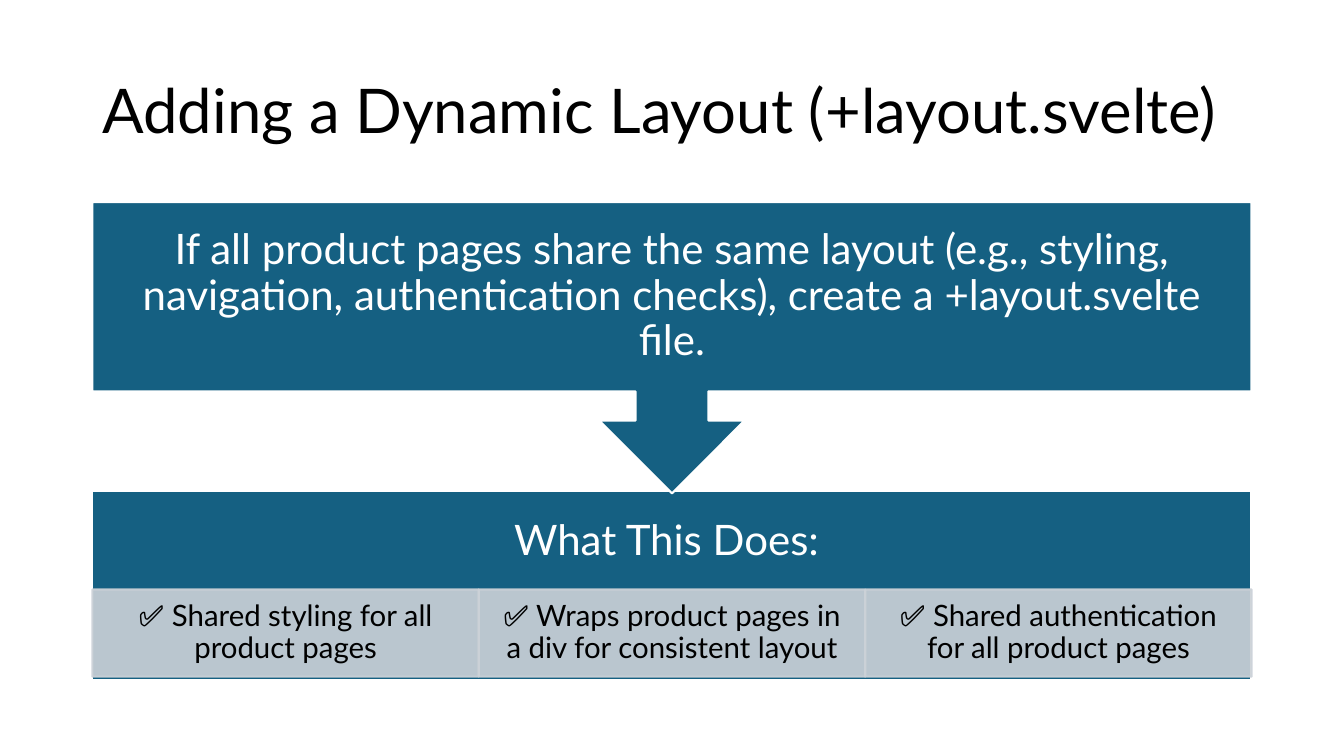
"""Build the slide on adding a dynamic layout with +layout.svelte."""
from dataclasses import dataclass

from lxml import etree
from pptx import Presentation
from pptx.dml.color import RGBColor
from pptx.enum.shapes import MSO_SHAPE
from pptx.enum.text import MSO_ANCHOR, PP_ALIGN
from pptx.oxml.ns import qn
from pptx.util import Pt

RECTANGLE = MSO_SHAPE.RECTANGLE
DOWN_ARROW_CALLOUT = MSO_SHAPE.DOWN_ARROW_CALLOUT
MIDDLE = MSO_ANCHOR.MIDDLE
LEFT, CENTER = PP_ALIGN.LEFT, PP_ALIGN.CENTER


@dataclass(frozen=True)
class Theme:
    font: str = "Lato"
    black: RGBColor = RGBColor(0x00, 0x00, 0x00)
    white: RGBColor = RGBColor(0xFF, 0xFF, 0xFF)
    blue: RGBColor = RGBColor(0x15, 0x60, 0x82)
    gray: RGBColor = RGBColor(0xCC, 0xD2, 0xD8)
    title_size: int = 44
    heading_size: int = 30
    benefit_size: int = 21


def write_text(shape, text, size, color, alignment, insets):
    frame = shape.text_frame
    frame.word_wrap = True
    frame.vertical_anchor = MIDDLE
    frame.margin_left, frame.margin_top, frame.margin_right, frame.margin_bottom = map(Pt, insets)
    frame.text = text
    paragraph = frame.paragraphs[0]
    paragraph.alignment = alignment
    paragraph.line_spacing = 0.9
    font = paragraph.runs[0].font
    font.name = theme.font
    font.size = Pt(size)
    font.color.rgb = color


def add_block(kind, left, top, width, height, fill, line):
    shape = slide.shapes.add_shape(kind, Pt(left), Pt(top), Pt(width), Pt(height))
    shape.shadow.inherit = False
    shape.fill.solid()
    shape.fill.fore_color.rgb = fill
    shape.line.color.rgb = line
    shape.line.width = Pt(1.5)
    return shape


theme = Theme()
presentation = Presentation()
presentation.slide_width = Pt(960)
presentation.slide_height = Pt(540)
slide = presentation.slides.add_slide(presentation.slide_layouts[6])

left, width = 66, 828
title = slide.shapes.add_textbox(Pt(left), Pt(28.75), Pt(width), Pt(104.4))
write_text(title, "Adding a Dynamic Layout (+layout.svelte)", theme.title_size,
           theme.black, LEFT, (7.2, 3.6, 7.2, 3.6))

panel_top, panel_height, heading_height = 350.8, 135.2, 73
panel = add_block(RECTANGLE, left, panel_top, width, panel_height, theme.blue, theme.white)
write_text(panel, "What This Does: ", theme.heading_size, theme.white, CENTER,
           (16.8, 16.8, 16.8, 16.8 + panel_height - heading_height))

benefits = [
    "✅ Shared styling for all product pages",
    "✅ Wraps product pages in a div for consistent layout",
    "✅ Shared authentication for all product pages",
]
benefit_width = width / len(benefits)
for index, benefit in enumerate(benefits):
    tile = add_block(RECTANGLE, left + index * benefit_width, 421.1, benefit_width, 62.3,
                     theme.gray, theme.gray)
    for color in tile._element.spPr.iter(qn("a:srgbClr")):
        etree.SubElement(color, qn("a:alpha"), val="90000")
    write_text(tile, benefit, theme.benefit_size, theme.black, CENTER, (11.8, 2.1, 11.8, 2.1))

callout = add_block(DOWN_ARROW_CALLOUT, left, 144.4, width, 208, theme.blue, theme.white)
write_text(
    callout,
    "If all product pages share the same layout (e.g., styling, navigation, "
    "authentication checks), create a +layout.svelte file.",
    theme.heading_size, theme.white, CENTER, (16.8, 16.8, 16.8, 16.8))

presentation.save("out.pptx")
